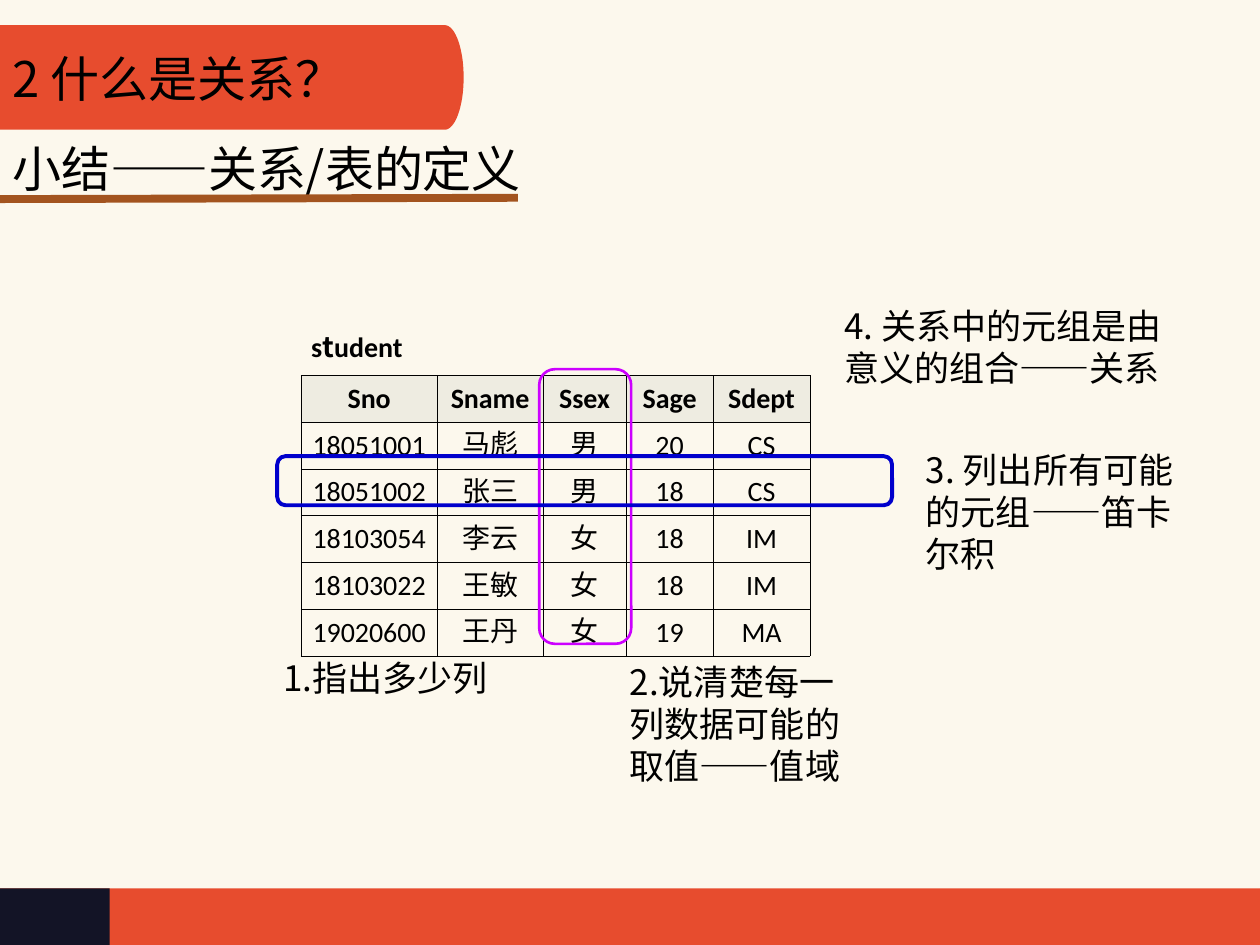
import math
from lxml import etree
from pptx import Presentation, util as u
from pptx.dml.color import RGBColor
from pptx.enum import shapes, text
from pptx.oxml.ns import qn

COLORS = {"cream": "FCF8ED", "red": "E74C2E", "navy": "131426", "brown": "A3541F",
          "black": "000000", "header": "EEECE1", "pink": "CC00FF", "blue": "0000CC"}
SC, JP, LATIN = "Noto Sans CJK SC", "Noto Sans CJK JP", "Calibri"
COLUMNS = [1.08, 0.84, 0.66, 0.69, 0.77]
ROWS = [
    ["Sno", "Sname", "Ssex", "Sage", "Sdept"],
    ["18051001", "马彪", "男", "20", "CS"],
    ["18051002", "张三", "男", "18", "CS"],
    ["18103054", "李云", "女", "18", "IM"],
    ["18103022", "王敏", "女", "18", "IM"],
    ["19020600", "王丹", "女", "19", "MA"],
]
NOTES = [
    ("2.说清楚每一列数据可能的取值——值域", 4.9, 5.19, 2, 1.1),
    ("1.指出多少列", 2.15, 5.16, 2.23, 0.44),
    ("3. 列出所有可能的元组——笛卡尔积", 7.25, 3.51, 2.28, 1.1),
    ("4. 关系中的元组是由意义的组合——关系", 6.6, 2.37, 2.75, 1.1),
]


class Deck:
    """Hold the style and the current slide, and draw each kind of element."""

    def __init__(self, prs):
        self.s = prs.slides.add_slide(prs.slide_layouts[6])
        self.s.background.fill.solid()
        self.s.background.fill.fore_color.rgb = self.color("cream")

    def color(self, name):
        return RGBColor.from_string(COLORS[name])

    def run(self, p, words, font=SC, size=20, bold=False):
        r = p.add_run()
        r.text = words
        for key, value in {"name": font, "size": u.Pt(size), "bold": bold}.items():
            setattr(r.font, key, value)
        r.font.color.rgb = self.color("black")
        east = SC if font == LATIN else font
        etree.SubElement(r.font._element, qn("a:ea"), typeface=east)

    def fill_text(self, tf, words, font, size):
        tf.word_wrap = True
        p = tf.paragraphs[0]
        p.alignment = text.PP_ALIGN.LEFT
        p.line_spacing = u.Pt(size * 1.2)
        self.run(p, words, font, size)

    def textbox(self, words, x, y, w, h, font=SC, size=20):
        sp = self.s.shapes.add_textbox(*map(u.Inches, (x, y, w, h)))
        self.fill_text(sp.text_frame, words, font, size)

    def paint(self, sp, fill=None, line=None, width=1):
        sp.shadow.inherit = False
        if fill:
            sp.fill.solid()
            sp.fill.fore_color.rgb = self.color(fill)
        else:
            sp.fill.background()
        if line:
            sp.line.color.rgb = self.color(line)
            sp.line.width = u.Pt(width)
        else:
            sp.line.fill.background()

    def shape(self, kind, x, y, w, h, **style):
        sp = self.s.shapes.add_shape(kind, *map(u.Inches, (x, y, w, h)))
        self.paint(sp, **style)
        return sp

    def frame(self, x, y, w, h, line, width):
        sp = self.shape(shapes.MSO_SHAPE.ROUNDED_RECTANGLE, x, y, w, h, line=line, width=width)
        sp.adjustments[0] = 0.17

    def title_tab(self, words, y, h, straight, bulge):
        steps = 40
        angles = [math.pi * (i / steps - 0.5) for i in range(steps + 1)]
        arc = [(straight + bulge * math.cos(a), y + h / 2 * (1 + math.sin(a))) for a in angles]
        fb = self.s.shapes.build_freeform(0, u.Inches(y), scale=1.0)
        fb.add_line_segments([(u.Inches(px), u.Inches(py)) for px, py in arc + [(0, y + h)]])
        sp = fb.convert_to_shape()
        self.paint(sp, fill="red")
        sp.text_frame.vertical_anchor = text.MSO_ANCHOR.MIDDLE
        self.fill_text(sp.text_frame, words, SC, 28)

    def line(self, x1, y1, x2, y2, color, width):
        sp = self.s.shapes.add_connector(shapes.MSO_CONNECTOR.STRAIGHT,
                                         *map(u.Inches, (x1, y1, x2, y2)))
        sp.line.color.rgb = self.color(color)
        sp.line.width = u.Pt(width)
        etree.SubElement(sp._element.spPr, qn("a:effectLst"))

    def borders(self, cell, sides):
        tc_pr = cell._tc.get_or_add_tcPr()
        for i, side in enumerate("LRTB"):
            ln = etree.Element(qn("a:ln" + side), w=str(u.Pt(0.45)))
            if side in sides:
                solid = etree.SubElement(ln, qn("a:solidFill"))
                etree.SubElement(solid, qn("a:srgbClr"), val=COLORS["black"])
            else:
                etree.SubElement(ln, qn("a:noFill"))
            tc_pr.insert(i, ln)

    def cell(self, cell, parts, align, bold=False, fill=None, sides="LRTB"):
        layout = {"margin_left": u.Inches(0.08), "margin_right": u.Inches(0.08),
                  "margin_top": u.Inches(0.05), "margin_bottom": u.Inches(0.05)}
        for key, value in layout.items():
            setattr(cell, key, value)
        if fill:
            cell.fill.solid()
            cell.fill.fore_color.rgb = self.color(fill)
            cell.vertical_anchor = text.MSO_ANCHOR.MIDDLE
        else:
            cell.fill.background()
        p = cell.text_frame.paragraphs[0]
        p.alignment = align
        p.line_spacing = u.Pt(19.5)
        for words, font in parts:
            self.run(p, words, font, 16, bold)
        self.borders(cell, sides)

    def table(self, x, y, name, rows, widths):
        box = map(u.Inches, (x, y, sum(widths), 0.4 + 0.37 * len(rows)))
        table = self.s.shapes.add_table(len(rows) + 1, len(widths), *box).table
        table.first_row = table.horz_banding = False
        for column, width in zip(table.columns, widths):
            column.width = u.Inches(width)
        for i, row in enumerate(table.rows):
            row.height = u.Inches(0.37 if i else 0.4)
        for c in range(len(widths)):
            self.cell(table.cell(0, c), [] if c else name, text.PP_ALIGN.JUSTIFY,
                      bold=True, sides="B")
        table.cell(0, 0).merge(table.cell(0, len(widths) - 1))
        for i, row in enumerate(rows):
            for c, words in enumerate(row):
                self.cell(table.cell(i + 1, c), [(words, LATIN)], text.PP_ALIGN.CENTER,
                          bold=i == 0, fill=None if i else "header")


def main():
    prs = Presentation()
    prs.slide_width, prs.slide_height = u.Inches(10), u.Inches(7.5)
    deck = Deck(prs)
    rect = shapes.MSO_SHAPE.RECTANGLE
    deck.shape(rect, 0, 7.05, 10, 0.45, fill="red")
    deck.shape(rect, 0, 7.05, 0.87, 0.45, fill="navy")
    deck.title_tab("2 什么是关系？", 0.2, 0.83, 3.53, 0.15)
    deck.textbox("小结——关系/表的定义", 0, 1.05, 6.09, 0.57, JP, 28)
    deck.line(0, 1.58, 4.11, 1.57, "brown", 4.5)
    deck.table(2.39, 2.58, [("s", LATIN), ("t", SC), ("udent", LATIN)], ROWS, COLUMNS)
    deck.frame(4.28, 2.93, 0.73, 2.18, "pink", 1.5)
    deck.frame(2.2, 3.62, 4.88, 0.39, "blue", 2.25)
    for note in NOTES:
        deck.textbox(*note)
    prs.save("out.pptx")


if __name__ == "__main__":
    main()
